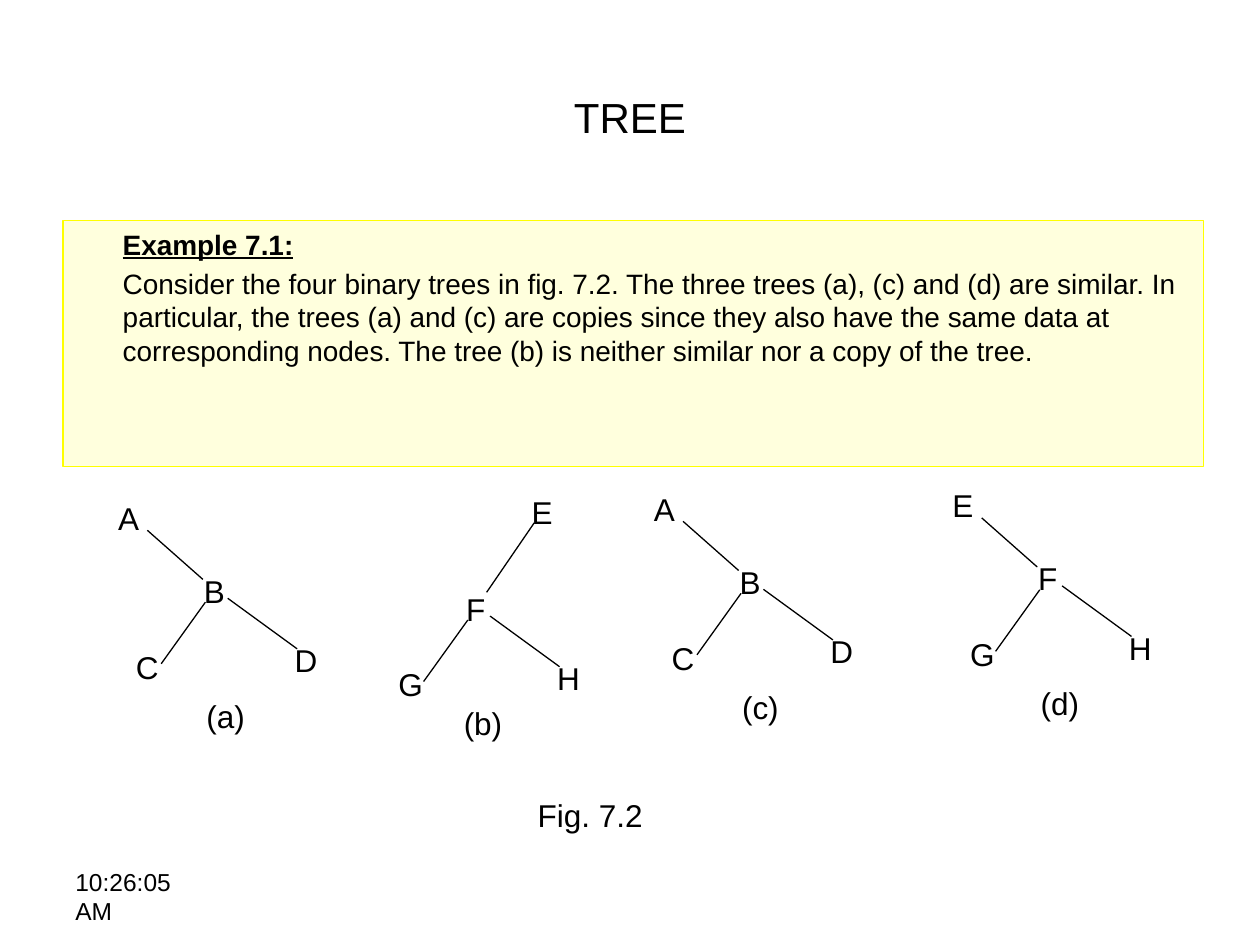
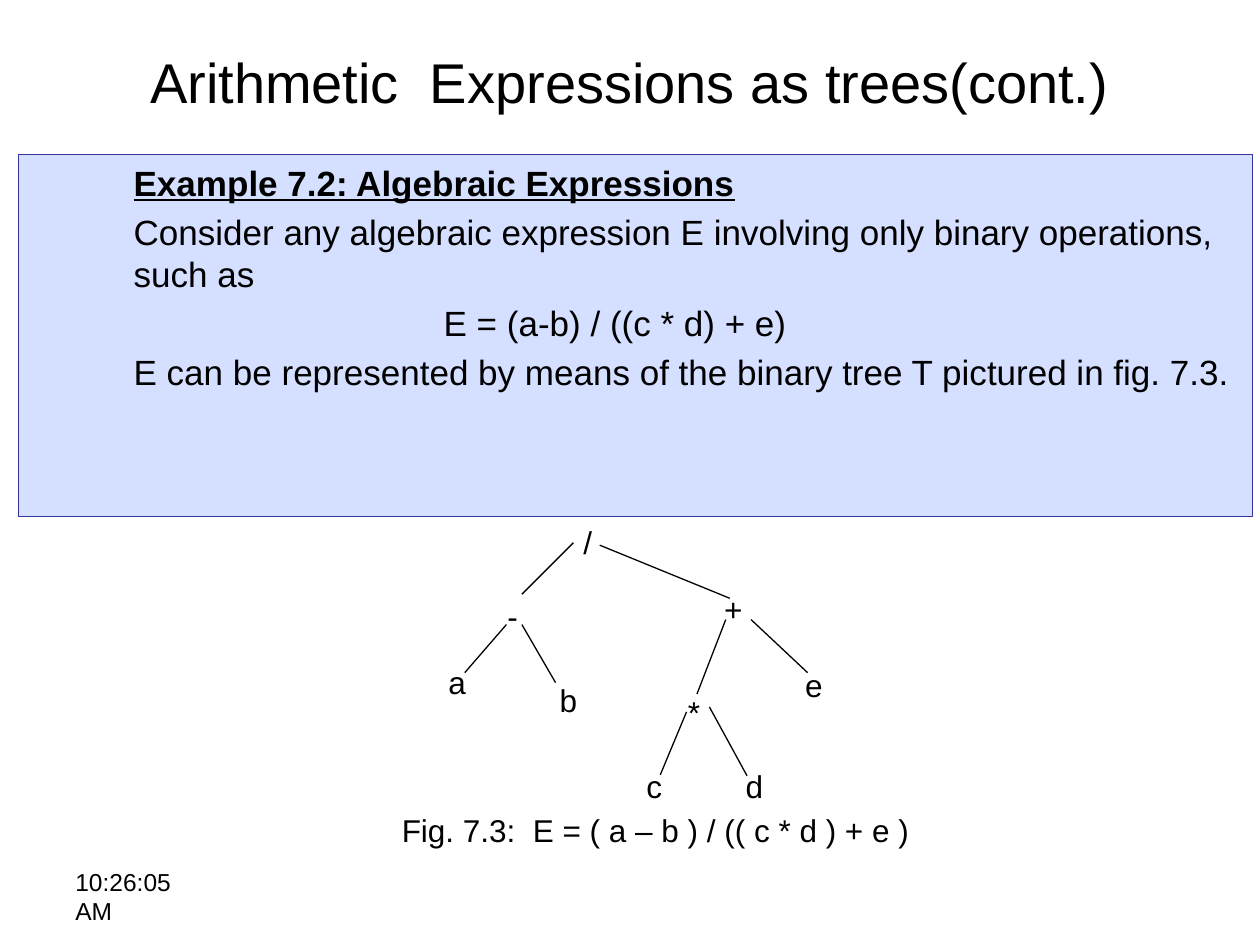
from lxml import etree
from pptx import Presentation
from pptx.dml.color import RGBColor
from pptx.enum import shapes, text
from pptx.oxml.ns import qn
from pptx.util import Cm, Pt

COLORS = {
    "ink": "000000",
    "cream": "FFFFDD",
    "yellow": "FFFF00",
    "sky": "D5DFFF",
    "navy": "333399",
}
FONT = "Arial"
LABEL_HEIGHT = 1.02
TIME = "10:26:05 AM"

LOWER_EDGES = [(2.01, 2.21, 1.12, 3.45), (2.46, 2.13, 3.86, 3.15)]
LEFT_ROOT = {"root": (0, 0), "edge": (0.84, 0.76, 1.96, 1.75), "caption": (1.78, 3.99)}
RIGHT_ROOT = {"root": (3.05, -0.48), "edge": (2.39, 1.65, 3.35, 0.25), "caption": (1.68, 3.78)}
CHILD_SPOTS = [(1.73, 1.47), (0.36, 3.0), (3.56, 2.87)]

BINARY_TREES = [
    ("(a)", "ABCD", (2.13, 9.93), LEFT_ROOT),
    ("(b)", "EFGH", (7.42, 10.29), RIGHT_ROOT),
    ("(c)", "ABCD", (12.93, 9.75), LEFT_ROOT),
    ("(d)", "EFGH", (18.95, 9.68), LEFT_ROOT),
]

EXPRESSION_NODES = [
    ("/", 2.72, 0), ("-", 1.19, 1.5), ("+", 5.56, 1.35),
    ("a", 0, 2.84), ("b", 2.24, 3.2), ("*", 4.83, 3.43),
    ("e", 7.19, 2.9), ("c", 3.99, 4.93), ("d", 5.99, 4.93),
]
EXPRESSION_EDGES = [
    (2.77, 0.53, 1.73, 1.57), (3.3, 0.58, 5.92, 1.65),
    (1.42, 2.18, 0.58, 3.15), (1.73, 2.18, 2.41, 3.35),
    (5.84, 2.08, 5.26, 3.58), (6.35, 2.08, 7.49, 3.15),
    (5.05, 3.94, 4.52, 5.21), (5.51, 3.84, 6.27, 5.23),
]


def rgb(name):
    """Return the named palette colour."""
    return RGBColor.from_string(COLORS[name])


def set_run(p, content, size, **extra):
    """Add a formatted run to a paragraph."""
    r = p.add_run()
    r.text = content
    for key, value in {"name": FONT, "size": Pt(size), **extra}.items():
        setattr(r.font, key, value)
    r.font.color.rgb = rgb("ink")


def place(sp, box):
    """Move and size a shape to a box in centimetres."""
    for key, value in zip(("left", "top", "width", "height"), box):
        setattr(sp, key, Cm(value))


def add_label(parent, content, box, size=18):
    """Add a plain text box."""
    sp = parent.add_textbox(*map(Cm, box))
    sp.text_frame.word_wrap = True
    set_run(sp.text_frame.paragraphs[0], content, size)


def add_edge(parent, origin, ends):
    """Draw one tree edge relative to the tree's origin."""
    x, y = origin
    x1, y1, x2, y2 = ends
    line = parent.add_connector(shapes.MSO_CONNECTOR.STRAIGHT,
                                Cm(x + x1), Cm(y + y1), Cm(x + x2), Cm(y + y2))
    line.line.color.rgb = rgb("ink")
    line.line.width = Pt(0.75)
    etree.SubElement(line._element.spPr, qn("a:effectLst"))


def add_tree(s, origin, nodes, edges, node_width):
    """Group node labels and edges placed relative to an origin."""
    group = s.shapes.add_group_shape().shapes
    x, y = origin
    for name, dx, dy in nodes:
        add_label(group, name, (x + dx, y + dy, node_width, LABEL_HEIGHT))
    for ends in edges:
        add_edge(group, origin, ends)
    return group


def add_binary_tree(s, caption, names, origin, form):
    """Add a four-node tree with its caption."""
    spots = [form["root"], *CHILD_SPOTS]
    nodes = [(name, *spot) for name, spot in zip(names, spots)]
    group = add_tree(s, origin, nodes, [form["edge"], *LOWER_EDGES], 0.97)
    (x, y), (dx, dy) = origin, form["caption"]
    add_label(group, caption, (x + dx, y + dy, 1.65, LABEL_HEIGHT))


def fill_title(s, content, top, size):
    """Fill and place the title placeholder."""
    sp = s.shapes.title
    place(sp, (1.27, top, 22.86, 3.18))
    tf = sp.text_frame
    for key, value in {"vertical_anchor": text.MSO_ANCHOR.MIDDLE,
                       "auto_size": text.MSO_AUTO_SIZE.NONE}.items():
        setattr(tf, key, value)
    p = tf.paragraphs[0]
    p.alignment = text.PP_ALIGN.CENTER
    set_run(p, content, size)


def fill_example(s, box, fill, outline, size, lines):
    """Fill the body placeholder with an underlined heading and indented lines."""
    sp = s.placeholders[1]
    place(sp, box)
    sp.fill.solid()
    sp.fill.fore_color.rgb = rgb(fill)
    sp.line.color.rgb = rgb(outline)
    sp.line.width = Pt(0.75)
    tf = sp.text_frame
    tf.auto_size = text.MSO_AUTO_SIZE.NONE
    for i, (content, indent) in enumerate(lines):
        p = tf.add_paragraph() if i else tf.paragraphs[0]
        pPr = p._p.get_or_add_pPr()
        pPr.set("marL", str(Cm(indent)))
        pPr.set("indent", "0")
        etree.SubElement(pPr, qn("a:buNone"))
        set_run(p, content, size, bold=i == 0, underline=i == 0)


def new_slide(prs, title, title_top, title_size):
    """Add a slide with its title and time stamp."""
    s = prs.slides.add_slide(prs.slide_layouts[1])
    fill_title(s, title, title_top, title_size)
    add_label(s.shapes, TIME, (1.27, 17.35, 3.2, 1.32), 14)
    return s


def similar_trees_slide(prs):
    """Build the slide comparing four binary trees."""
    s = new_slide(prs, "TREE", 0.76, 24)
    fill_example(s, (1.27, 4.45, 22.99, 4.95), "cream", "yellow", 16, [
        ("Example 7.1:", 0.95),
        ("Consider the four binary trees in fig. 7.2. The three trees (a), (c) and (d) "
         "are similar. In particular, the trees (a) and (c) are copies since they also "
         "have the same data at corresponding nodes. The tree (b) is neither similar "
         "nor a copy of the tree.", 0.95),
    ])
    for tree in BINARY_TREES:
        add_binary_tree(s, *tree)
    add_label(s.shapes, "Fig. 7.2", (10.59, 15.93, 3.58, LABEL_HEIGHT))


def expression_slide(prs):
    """Build the slide showing an algebraic expression as a tree."""
    s = new_slide(prs, "Arithmetic  Expressions as trees(cont.)", 0.05, 32)
    fill_example(s, (0.38, 3.12, 24.87, 7.29), "sky", "navy", 20, [
        ("Example 7.2: Algebraic Expressions", 2.06),
        ("Consider any algebraic expression E involving only binary operations, such as", 2.06),
        ("E = (a-b) / ((c * d) + e)", 8.31),
        ("E can be represented by means of the binary tree T pictured in fig. 7.3.", 2.06),
    ])
    add_tree(s, (8.79, 10.41), EXPRESSION_NODES, EXPRESSION_EDGES, 0.91)
    add_label(s.shapes, "Fig. 7.3:  E = ( a – b ) / (( c * d ) + e )",
              (7.85, 16.23, 11.2, LABEL_HEIGHT))


def main():
    """Build and save the presentation."""
    prs = Presentation()
    prs.slide_width, prs.slide_height = Cm(25.4), Cm(19.05)
    similar_trees_slide(prs)
    expression_slide(prs)
    prs.save("out.pptx")


if __name__ == "__main__":
    main()
